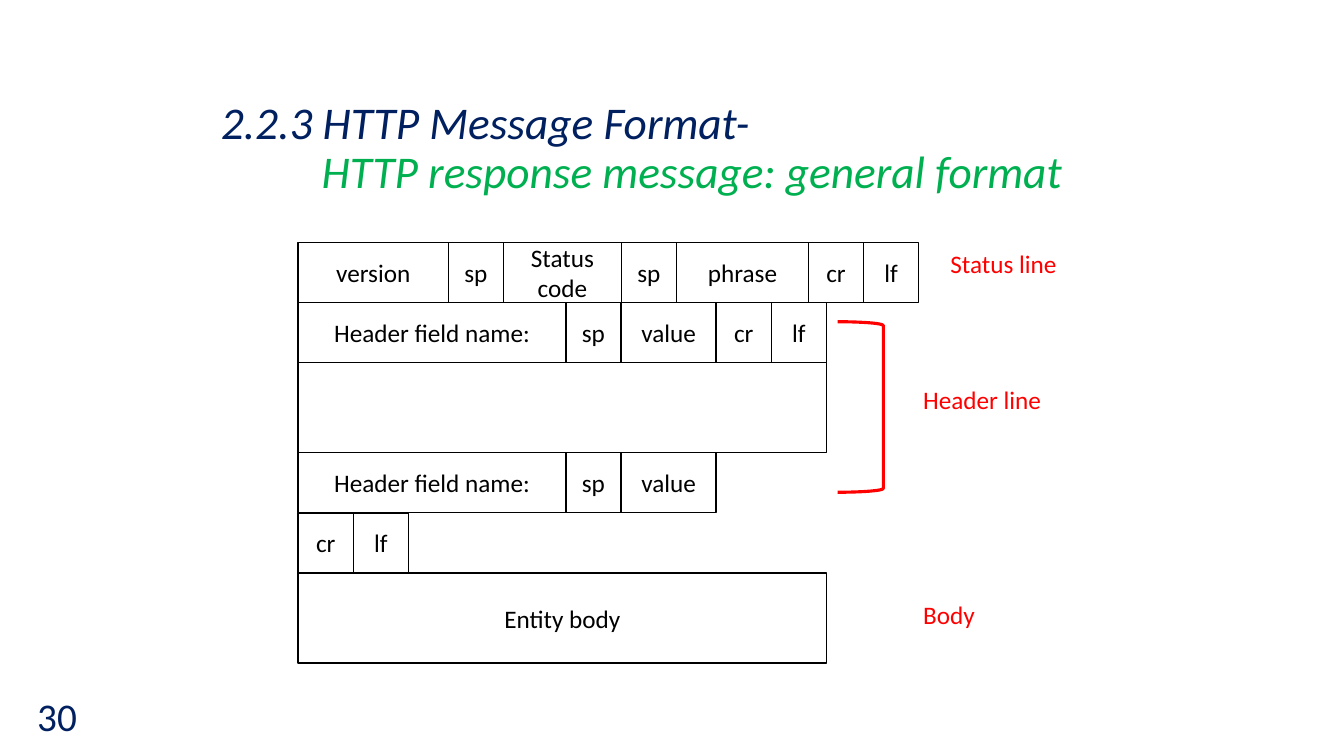
from pptx import Presentation
from pptx.dml import color
from pptx.enum import shapes, text
from pptx.oxml import ns
from pptx.util import Pt
from lxml import etree

CENTER, RIGHT = text.PP_ALIGN.CENTER, text.PP_ALIGN.RIGHT
MIDDLE, TOP = text.MSO_ANCHOR.MIDDLE, text.MSO_ANCHOR.TOP


def rgb(value):
    return color.RGBColor.from_string(value)


def write(p, content, font="Calibri", size=18, ink="000000", italic=False, align=None):
    r = p.add_run()
    r.text = content
    r.font.name, r.font.size, r.font.italic = font, Pt(size), italic
    r.font.color.rgb = rgb(ink)
    if align is not None:
        p.alignment = align


class Deck:
    ink, paper, navy, green, red = "000000", "FFFFFF", "002060", "00B050", "FF0000"

    def __init__(self, width, height):
        self.prs = Presentation()
        self.prs.slide_width, self.prs.slide_height = Pt(width), Pt(height)
        self.s = self.prs.slides.add_slide(self.prs.slide_layouts[6])

    def frame(self, x, y, w, h, anchor=TOP):
        tf = self.s.shapes.add_textbox(Pt(x), Pt(y), Pt(w), Pt(h)).text_frame
        tf.word_wrap, tf.vertical_anchor = True, anchor
        return tf

    def title(self, x, y, w, h, lines, indent):
        tf = self.frame(x, y, w, h, MIDDLE)
        tf.margin_left = tf.margin_right = tf.margin_top = tf.margin_bottom = 0
        for i, (content, ink) in enumerate(lines):
            p = tf.add_paragraph() if i else tf.paragraphs[0]
            p.line_spacing = 0.9
            p._p.get_or_add_pPr().set("marL", str(Pt(indent * i)))
            write(p, content, size=32.4, ink=ink, italic=True)

    def label(self, x, y, w, h, content, anchor=TOP, **style):
        write(self.frame(x, y, w, h, anchor).paragraphs[0], content, **style)

    def box(self, x, y, w, h, content=""):
        sp = self.s.shapes.add_shape(shapes.MSO_SHAPE.RECTANGLE, Pt(x), Pt(y), Pt(w), Pt(h))
        sp.shadow.inherit = False
        sp.fill.solid()
        sp.fill.fore_color.rgb = rgb(self.paper)
        sp.line.color.rgb, sp.line.width = rgb(self.ink), Pt(1)
        if content:
            tf = sp.text_frame
            tf.word_wrap, tf.vertical_anchor = True, MIDDLE
            write(tf.paragraphs[0], content, ink=self.ink, align=CENTER)

    def row(self, x, y, h, cells):
        for content, w in cells:
            self.box(x, y, w, h, content)
            x += w

    def line(self, x1, y1, x2, y2):
        c = self.s.shapes.add_connector(shapes.MSO_CONNECTOR.STRAIGHT, Pt(x1), Pt(y1), Pt(x2), Pt(y2))
        c.line.color.rgb, c.line.width = rgb(self.ink), Pt(1)
        etree.SubElement(c._element.spPr, ns.qn("a:effectLst"))

    def bracket(self, x, y, w, h):
        sp = self.s.shapes.add_shape(shapes.MSO_SHAPE.RIGHT_BRACKET, Pt(x), Pt(y), Pt(w), Pt(h))
        sp.shadow.inherit = False
        sp.fill.background()
        sp.line.color.rgb, sp.line.width = rgb(self.red), Pt(2.25)


def main():
    d = Deck(960, 540)
    d.title(157.7, 71.2, 660, 71.2, [
        ("2.2.3 HTTP Message Format-", d.navy),
        ("HTTP response message: general format", d.green),
    ], indent=72)
    d.label(0, 482, 62, 58, "30", MIDDLE, size=28, ink=d.navy, align=RIGHT)

    left, y, low, tall, wide = 213, 173.2, 42.9, 64.4, 377.4
    sp, cr, lf = ("sp", 39.4), ("cr", 39.4), ("lf", 39.4)
    header = [("Header field name:", 191.2), sp, ("value", 68)]
    status = [("version", 107.3), sp, ("Status code", 84.1), sp, ("phrase", 94.3), cr, lf]
    rows = [
        (low, status),
        (low, header + [cr, lf]),
        (tall, [("", wide)]),
        (low, header),
        (low, [cr, lf]),
        (tall, [("Entity body", wide)]),
    ]
    for h, cells in rows:
        d.row(left, y, h, cells)
        if h == tall:
            for x in (left, left + wide):
                for start, end in ((13, 29), (50, 37)):
                    d.line(x, y + start, x, y + end)
        y += h

    d.bracket(598.4, 229.8, 32.6, 121.8)
    d.label(671.8, 173.5, 92, 29, "Status line", ink=d.red)
    d.label(652.3, 271, 123, 36, "Header line", ink=d.red)
    d.label(652.3, 424.8, 69, 36, "Body", ink=d.red)
    d.prs.save("out.pptx")


if __name__ == "__main__":
    main()
